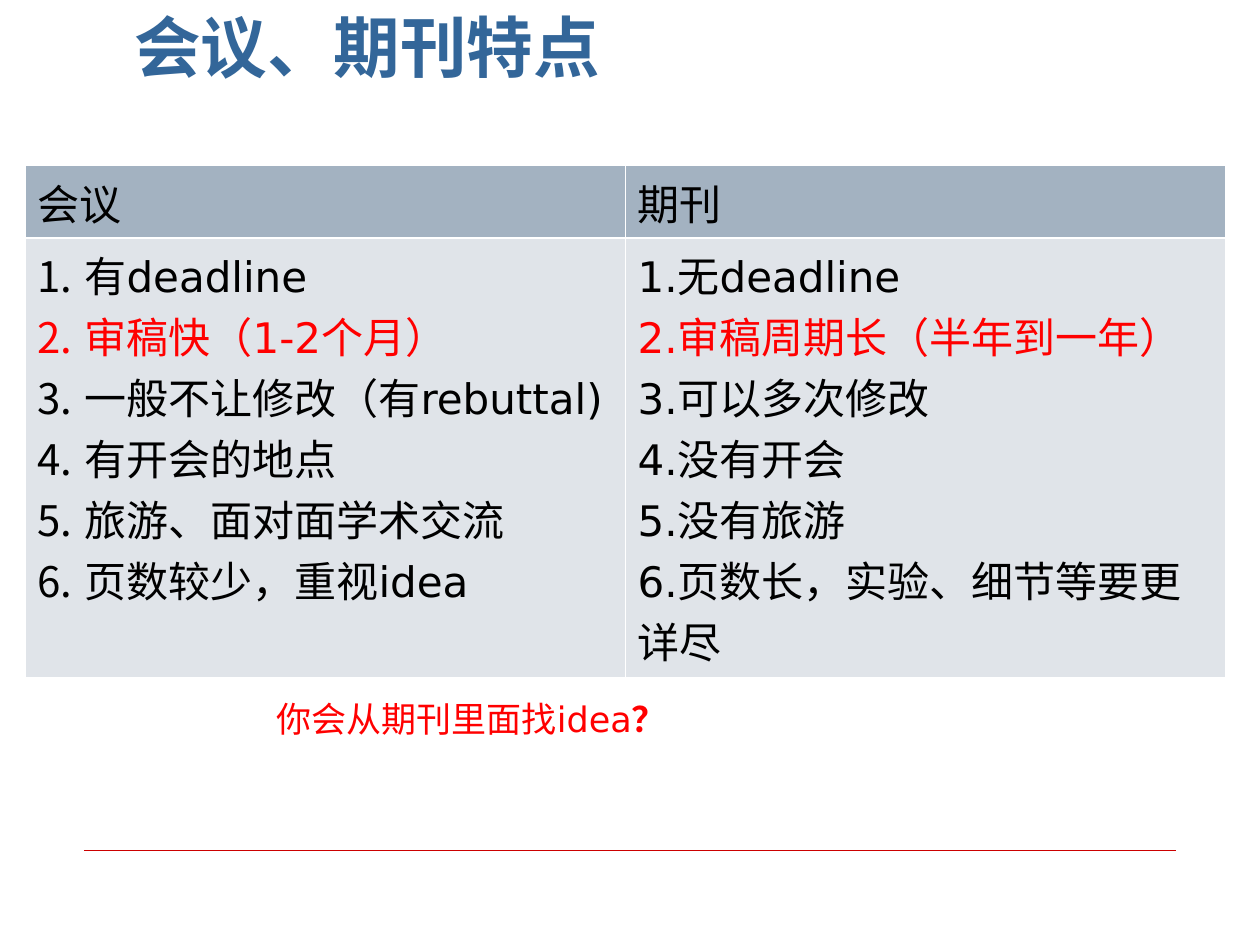
from dataclasses import dataclass

from lxml import etree
from pptx import Presentation
from pptx import util as u
from pptx.dml.color import RGBColor
from pptx.enum import shapes, text
from pptx.oxml import ns

PX_PER_INCH = 126
FONT = "DejaVu Sans"
COLORS = {
    "title": "336699",
    "rule": "CC0000",
    "header": "A3B2C1",
    "body": "E0E4E9",
    "border": "FFFFFF",
    "text": "000000",
    "emphasis": "FF0000",
}
THIN, THICK = 0.45, 1.47
HEADER_HEIGHT, BODY_HEIGHT = 73, 439


@dataclass(frozen=True)
class Venue:
    heading: str
    traits: tuple[str, ...]
    auto_numbered: bool


VENUES = (
    Venue("会议", ("有deadline", "审稿快（1-2个月）", "一般不让修改（有rebuttal)",
                 "有开会的地点", "旅游、面对面学术交流", "页数较少，重视idea"), True),
    Venue("期刊", ("1.无deadline", "2.审稿周期长（半年到一年）", "3.可以多次修改",
                 "4.没有开会", "5.没有旅游", "6.页数长，实验、细节等要更详尽"), False),
)
EMPHASIZED_TRAIT = 1


def px(n: int) -> u.Emu:
    return u.Emu(round(n * u.Inches(1) / PX_PER_INCH))


def rgb(name: str) -> RGBColor:
    return RGBColor.from_string(COLORS[name])


def style_run(run, size: int, color: str, bold: bool = False) -> None:
    run.font.name = FONT
    run.font.size = u.Pt(size)
    run.font.bold = bold
    run.font.color.rgb = rgb(color)


def number_paragraph(paragraph, color: str) -> None:
    """Give the paragraph a hanging automatic number."""
    props = paragraph._p.get_or_add_pPr()
    props.set("marL", str(px(47)))
    props.set("indent", str(-px(47)))
    bullet_color = etree.SubElement(props, ns.qn("a:buClr"))
    etree.SubElement(bullet_color, ns.qn("a:srgbClr"), val=COLORS[color])
    etree.SubElement(props, ns.qn("a:buAutoNum"), type="arabicPeriod")


def border_cell(cell, top: float, bottom: float) -> None:
    """Draw the four borders; must run before the cell is filled."""
    props = cell._tc.get_or_add_tcPr()
    for side, width in (("L", THIN), ("R", THIN), ("T", top), ("B", bottom)):
        line = etree.SubElement(props, ns.qn(f"a:ln{side}"), w=str(u.Pt(width)))
        fill = etree.SubElement(line, ns.qn("a:solidFill"))
        etree.SubElement(fill, ns.qn("a:srgbClr"), val=COLORS["border"])


def fill_cell(cell, lines: tuple[str, ...], color: str, numbered: bool = False) -> None:
    cell.fill.solid()
    cell.fill.fore_color.rgb = rgb(color)
    cell.text_frame.text = "\n".join(lines)
    for i, paragraph in enumerate(cell.text_frame.paragraphs):
        ink = "emphasis" if i == EMPHASIZED_TRAIT else "text"
        if numbered:
            number_paragraph(paragraph, ink)
        style_run(paragraph.runs[0], 24, ink)


def add_comparison(slide) -> None:
    table = slide.shapes.add_table(2, len(VENUES), px(25), px(165), px(1200),
                                   px(HEADER_HEIGHT + BODY_HEIGHT)).table
    table.rows[0].height, table.rows[1].height = px(HEADER_HEIGHT), px(BODY_HEIGHT)
    for col, venue in enumerate(VENUES):
        header, body = table.cell(0, col), table.cell(1, col)
        border_cell(header, THIN, THICK)
        border_cell(body, THICK, THIN)
        fill_cell(header, (venue.heading,), "header")
        fill_cell(body, venue.traits, "body", venue.auto_numbered)


def add_title(slide) -> None:
    frame = slide.shapes.add_textbox(px(122), px(14), px(863), px(78)).text_frame
    frame.word_wrap = True
    frame.vertical_anchor = text.MSO_ANCHOR.BOTTOM
    frame.text = "会议、期刊特点"
    style_run(frame.paragraphs[0].runs[0], 38, "title", bold=True)


def add_question(slide) -> None:
    frame = slide.shapes.add_textbox(px(264), px(691), px(427), px(55)).text_frame
    frame.word_wrap = True
    frame.text = "你会从期刊里面找idea"
    paragraph = frame.paragraphs[0]
    style_run(paragraph.runs[0], 20, "emphasis")
    mark = paragraph.add_run()
    mark.text = "？"
    style_run(mark, 20, "emphasis", bold=True)


def add_footer_rule(slide) -> None:
    rule = slide.shapes.add_connector(
        shapes.MSO_CONNECTOR.STRAIGHT, px(84), px(850), px(1176), px(850))
    rule.line.color.rgb = rgb("rule")
    rule.line.width = u.Pt(0.25)
    etree.SubElement(rule._element.spPr, ns.qn("a:effectLst"))


def main() -> None:
    deck = Presentation()
    deck.slide_width, deck.slide_height = px(1260), px(945)
    slide = deck.slides.add_slide(deck.slide_layouts[6])
    add_footer_rule(slide)
    add_title(slide)
    add_comparison(slide)
    add_question(slide)
    deck.save("out.pptx")


if __name__ == "__main__":
    main()
